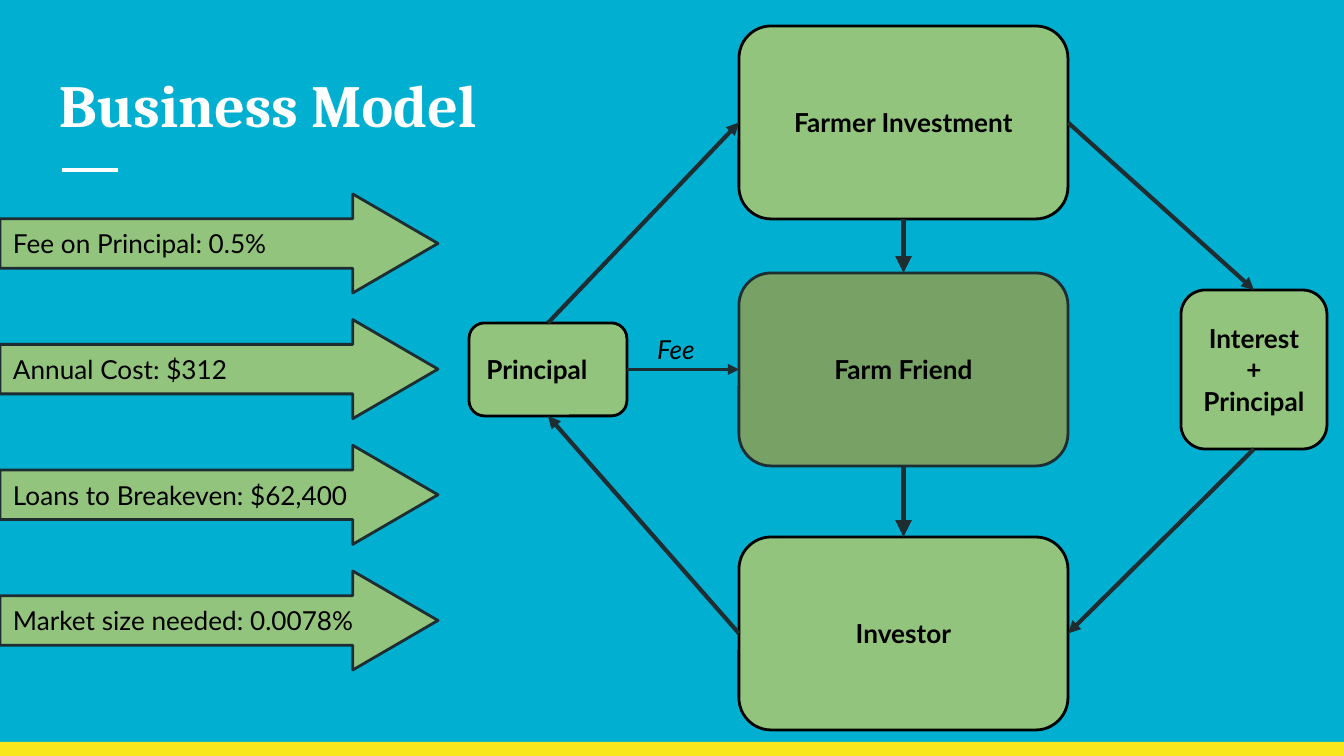
"""Build the business model slide."""
import dataclasses

import lxml.etree
import pptx
import pptx.dml.color
import pptx.enum.shapes
import pptx.enum.text
import pptx.oxml.ns
import pptx.util

EMU_PER_PX = 914400 / 134.4
SHAPE = pptx.enum.shapes.MSO_SHAPE
ALIGN = pptx.enum.text.PP_ALIGN
ANCHOR = pptx.enum.text.MSO_ANCHOR
TOP, LEFT, BOTTOM, RIGHT = range(4)


@dataclasses.dataclass(frozen=True)
class Theme:
    """Colours, fonts and sizes of the slide."""
    background: str = "01AFD1"
    accent: str = "F8E71C"
    light: str = "FFFFFF"
    dark: str = "1E2D31"
    text: str = "000000"
    green: str = "93C47D"
    deep_green: str = "78A166"
    title_font: str = "Cambria"
    body_font: str = "Lato"
    title_size: int = 32
    body_size: int = 14
    outline: float = 1.5
    flow: float = 2.25
    thick: float = 3
    inset: int = 13


THEME = Theme()


def px(value):
    """Turn pixels into EMU."""
    return pptx.util.Emu(round(value * EMU_PER_PX))


def rgb(value):
    """Turn a hex string into a colour."""
    return pptx.dml.color.RGBColor.from_string(value)


def write(shape, text, *, size=THEME.body_size, font=THEME.body_font, color=THEME.text,
          bold=False, italic=False, align=ALIGN.LEFT, anchor=ANCHOR.MIDDLE):
    """Put formatted text in a shape."""
    frame = shape.text_frame
    frame.word_wrap = True
    frame.auto_size = pptx.enum.text.MSO_AUTO_SIZE.NONE
    frame.vertical_anchor = anchor
    frame.margin_left = frame.margin_right = px(THEME.inset)
    frame.margin_top = frame.margin_bottom = px(THEME.inset)
    paragraph = frame.paragraphs[0]
    paragraph.alignment = align
    run = paragraph.add_run()
    run.text = text
    run.font.size = pptx.util.Pt(size)
    run.font.name = font
    run.font.color.rgb = rgb(color)
    run.font.bold = bold
    run.font.italic = italic


def add_block(slide, kind, box, fill, line=None):
    """Add a filled preset shape, outlined when a line colour is given."""
    shape = slide.shapes.add_shape(kind, *map(px, box))
    shape.shadow.inherit = False
    shape.fill.solid()
    shape.fill.fore_color.rgb = rgb(fill)
    if line:
        shape.line.color.rgb = rgb(line)
        shape.line.width = pptx.util.Pt(THEME.outline)
    else:
        shape.line.fill.background()
    return shape


def add_line(slide, start, end, color, width):
    """Add a straight line without a shadow."""
    connector = slide.shapes.add_connector(
        pptx.enum.shapes.MSO_CONNECTOR.STRAIGHT, *map(px, (*start, *end)))
    connector.line.color.rgb = rgb(color)
    connector.line.width = pptx.util.Pt(width)
    properties = connector.element.spPr
    lxml.etree.SubElement(properties, pptx.oxml.ns.qn("a:effectLst"))
    return connector


def join(slide, source, source_site, target, target_site, width):
    """Draw an arrow from one node to another."""
    connector = add_line(slide, (0, 0), (0, 0), THEME.dark, width)
    connector.begin_connect(source, source_site)
    connector.end_connect(target, target_site)
    line = connector.line._get_or_add_ln()
    lxml.etree.SubElement(line, pptx.oxml.ns.qn("a:tailEnd"), type="triangle")


def add_heading(slide, box):
    """Place the title and the short rule under it."""
    left, top, width, height = box
    title = slide.shapes.title
    title.left, title.top, title.width, title.height = map(px, box)
    write(title, "Business Model", size=THEME.title_size, font=THEME.title_font,
          color=THEME.light, bold=True, anchor=ANCHOR.TOP)
    rule = top + height + 20
    add_line(slide, (left + 16, rule), (left + 72, rule), THEME.light, THEME.flow)


def add_facts(slide, box, facts):
    """Spread the fact arrows evenly down the box."""
    left, top, width, height = box
    arrow_height = 99
    step = (height - arrow_height) / (len(facts) - 1)
    for index, fact in enumerate(facts):
        arrow = add_block(slide, SHAPE.RIGHT_ARROW,
                          (left, top + index * step, width, arrow_height),
                          THEME.green, THEME.dark)
        arrow.adjustments[0], arrow.adjustments[1] = 0.5, 0.86
        write(arrow, fact)


def add_cycle(slide, box):
    """Draw the money cycle between farmer, company and investor."""
    left, top, width, height = box

    def node(text, place, fill=THEME.green, line=THEME.text, align=ALIGN.CENTER):
        """Add a rounded node placed relative to the box."""
        x, y, node_width, node_height = place
        shape = add_block(slide, SHAPE.ROUNDED_RECTANGLE,
                          (left + x, top + y, node_width, node_height), fill, line)
        write(shape, text, bold=True, align=align)
        return shape

    main_left, main_width, main_height = 270, 329, 193
    farmer = node("Farmer Investment", (main_left, 0, main_width, main_height))
    friend = node("Farm Friend", (main_left, 247, main_width, main_height),
                  THEME.deep_green, THEME.dark)
    investor = node("Investor", (main_left, height - main_height, main_width, main_height))
    principal = node("Principal", (0, 297, 158, 93), align=ALIGN.LEFT)
    interest = node("Interest + Principal", (width - 146, 264, 146, 159))

    for link in (
        (farmer, BOTTOM, friend, TOP, THEME.thick),
        (friend, BOTTOM, investor, TOP, THEME.thick),
        (principal, RIGHT, friend, LEFT, THEME.outline),
        (investor, LEFT, principal, BOTTOM, THEME.flow),
        (principal, TOP, farmer, LEFT, THEME.flow),
        (farmer, RIGHT, interest, TOP, THEME.flow),
        (interest, BOTTOM, investor, RIGHT, THEME.flow),
    ):
        join(slide, *link)

    label = slide.shapes.add_textbox(*map(px, (left + 175, top + 294, 66, 51)))
    write(label, "Fee", italic=True, anchor=ANCHOR.TOP)


def main():
    """Build and save the presentation."""
    presentation = pptx.Presentation()
    presentation.slide_width, presentation.slide_height = px(1344), px(756)
    slide = presentation.slides.add_slide(presentation.slide_layouts[5])
    slide.background.fill.solid()
    slide.background.fill.fore_color.rgb = rgb(THEME.background)
    add_block(slide, SHAPE.RECTANGLE, (0, 742, 1344, 14), THEME.accent)
    add_heading(slide, (46, 55, 554, 95))
    add_cycle(slide, (469, 26, 858, 704))
    add_facts(slide, (0, 194, 438, 476), (
        "Fee on Principal: 0.5%",
        "Annual Cost: $312",
        "Loans to Breakeven: $62,400",
        "Market size needed: 0.0078%",
    ))
    presentation.save("out.pptx")


if __name__ == "__main__":
    main()
